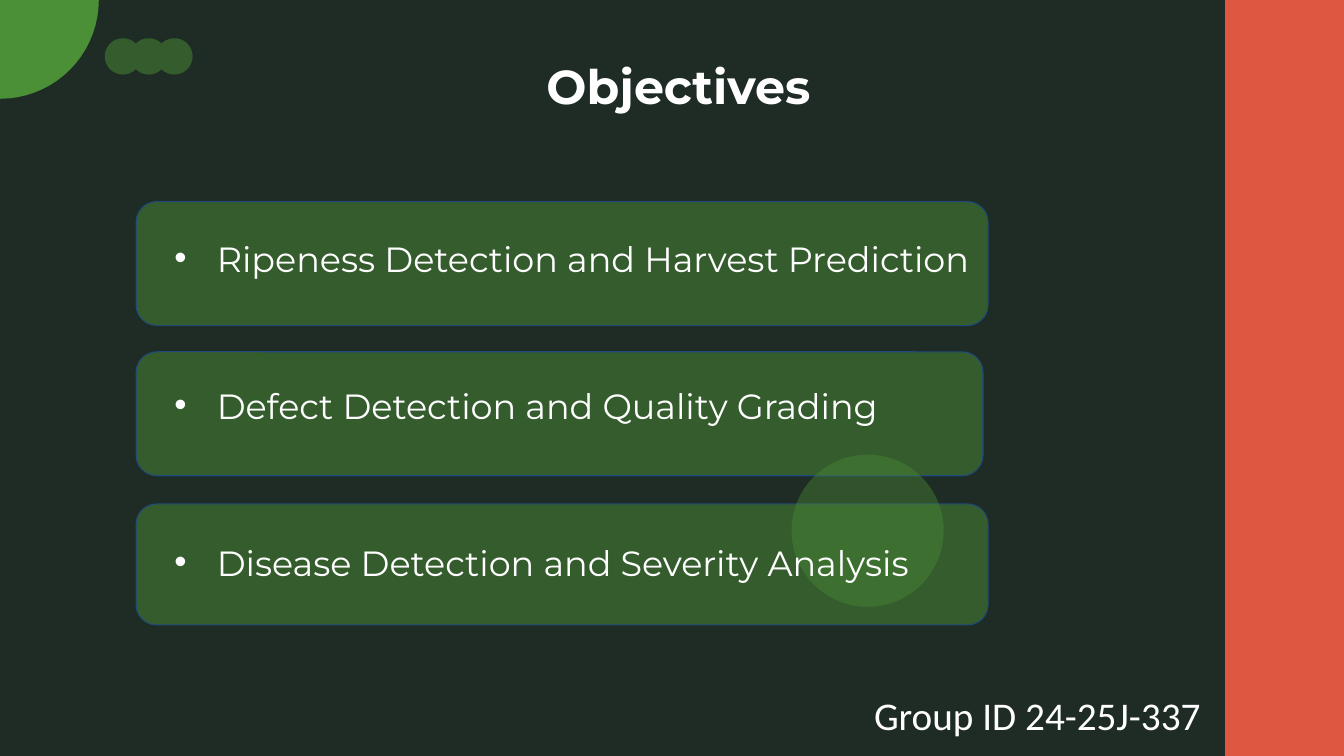
import math
from dataclasses import dataclass

from lxml import etree
from pptx import Presentation
from pptx.dml.color import RGBColor
from pptx.enum import shapes, text
from pptx.oxml.ns import qn
from pptx.util import Inches, Pt

# Content
TITLE = "Objectives"
GROUP = "Group ID 24-25J-337"
# objective, text top, text width, card top, card width, card height
OBJECTIVES = [
    ("Ripeness Detection and Harvest Prediction", 2.42, 8.67, 2, 8.45, 1.23),
    ("Defect Detection and Quality Grading", 3.88, 8.67, 3.49, 8.4, 1.23),
    ("Disease Detection and Severity Analysis", 5.44, 8.99, 5, 8.45, 1.2),
]


@dataclass(frozen=True)
class Theme:
    back: str = "1E2C25"
    green: str = "4B8F36"
    band: str = "DE5740"
    edge: str = "1F497D"
    white: str = "FFFFFF"
    face: str = "Montserrat"
    group_face: str = "Calibri"
    title_size: int = 34
    body_size: int = 25
    group_size: int = 28


THEME = Theme()


def paint(shape, color, opacity=100, edge=None):
    shape.shadow.inherit = False
    shape.fill.solid()
    shape.fill.fore_color.rgb = RGBColor.from_string(color)
    if opacity < 100:
        tint = shape.element.find(".//" + qn("a:srgbClr"))
        etree.SubElement(tint, qn("a:alpha"), val=str(opacity * 1000))
    if edge:
        shape.line.color.rgb = RGBColor.from_string(edge)
        shape.line.width = Pt(0.75)
    else:
        shape.line.fill.background()


def add_preset(page, kind, place, color, opacity=100, edge=None):
    shape = page.shapes.add_shape(kind, *map(Inches, place))
    paint(shape, color, opacity, edge)
    return shape


def arc(x, y, radius, start, end, step=5):
    return [(x + radius * math.cos(math.radians(angle)),
             y + radius * math.sin(math.radians(angle)))
            for angle in range(start, end + 1, step)]


def add_outline(page, points, color, opacity=100):
    corners = [(Inches(x), Inches(y)) for x, y in points]
    builder = page.shapes.build_freeform(*corners[0], scale=1.0)
    builder.add_line_segments(corners[1:], close=True)
    paint(builder.convert_to_shape(), color, opacity)


def write(box, place, words, face, size, bold=False, inset=0.05):
    box.left, box.top, box.width, box.height = map(Inches, place)
    frame = box.text_frame
    frame.word_wrap = True
    frame.auto_size = text.MSO_AUTO_SIZE.NONE
    frame.vertical_anchor = text.MSO_ANCHOR.TOP
    frame.margin_left = frame.margin_right = Inches(0.1)
    frame.margin_top = frame.margin_bottom = Inches(inset)
    para = frame.paragraphs[0]
    para.alignment = text.PP_ALIGN.LEFT
    para.space_before = Pt(0)
    span = para.add_run()
    span.text = words
    span.font.name = face
    span.font.size = Pt(size)
    span.font.bold = bold
    span.font.color.rgb = RGBColor.from_string(THEME.white)
    return para


def add_bullet(para):
    para.line_spacing = 0.7
    props = para._p.get_or_add_pPr()
    props.set("marL", str(Inches(0.5)))
    props.set("indent", str(Inches(-0.42)))
    tint = etree.SubElement(props, qn("a:buClr"))
    etree.SubElement(tint, qn("a:srgbClr"), val=THEME.white)
    etree.SubElement(props, qn("a:buChar"), char="•")


def bring_forward(page, shape):
    page.shapes.element.append(shape.element)


def main():
    deck = Presentation()
    deck.slide_width, deck.slide_height = Inches(13.33), Inches(7.5)
    # The comparison layout offers a title and several body placeholders
    page = deck.slides.add_slide(deck.slide_layouts[4])
    page.background.fill.solid()
    page.background.fill.fore_color.rgb = RGBColor.from_string(THEME.back)
    title, *bodies = list(page.placeholders)

    # Cards, lowest first
    kinds = shapes.MSO_SHAPE
    for _, _, _, top, width, height in reversed(OBJECTIVES):
        add_preset(page, kinds.ROUNDED_RECTANGLE, (1.35, top, width, height),
                   THEME.green, 49, THEME.edge)

    # Decoration: circle, corner quarter, chain of three lobes, side band
    add_preset(page, kinds.FLOWCHART_CONNECTOR, (7.85, 4.51, 1.51, 1.51),
               THEME.green, 40)
    add_outline(page, [(0, 0)] + arc(0, 0, 0.98, 0, 90), THEME.green)
    lobes = [(1.22, 180, 315), (1.475, 225, 315), (1.73, 225, 495),
             (1.475, 45, 135), (1.22, 45, 180)]
    chain = [point for x, start, end in lobes
             for point in arc(x, 0.56, 0.18, start, end)]
    add_outline(page, chain, THEME.green, 49)
    add_preset(page, kinds.RECTANGLE, (12.15, 0, 1.18, 7.5), THEME.band)

    # Title and group label
    bring_forward(page, title)
    write(title, (5.32, 0.51, 3.37, 0.67), TITLE, THEME.face,
          THEME.title_size, bold=True)
    label = page.shapes.add_textbox(0, 0, 0, 0)
    write(label, (8.57, 6.76, 3.58, 0.71), GROUP, THEME.group_face,
          THEME.group_size, inset=0.1)

    # Objectives
    for body, (words, top, width, *_) in zip(bodies, OBJECTIVES):
        bring_forward(page, body)
        add_bullet(write(body, (1.55, top, width, 0.59), words, THEME.face,
                         THEME.body_size))
    for spare in bodies[len(OBJECTIVES):]:
        page.shapes.element.remove(spare.element)

    deck.save("out.pptx")


if __name__ == "__main__":
    main()
